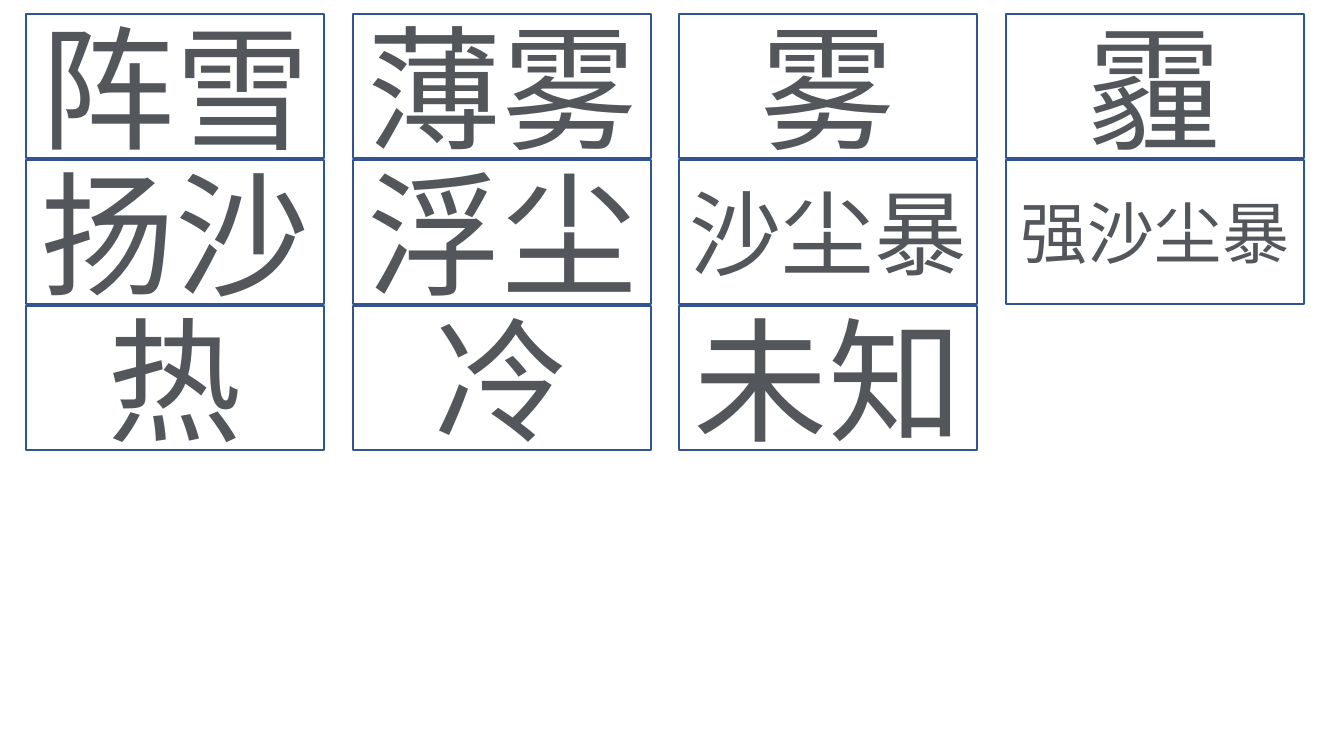
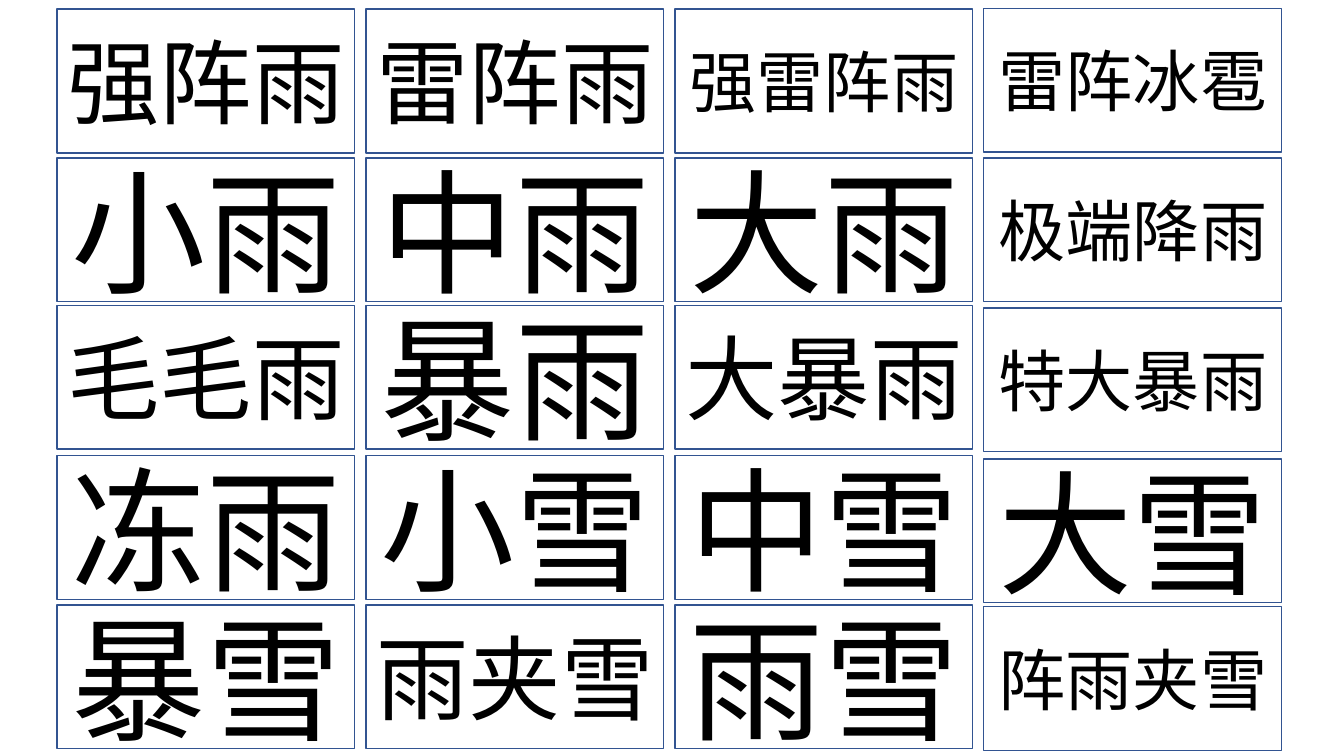
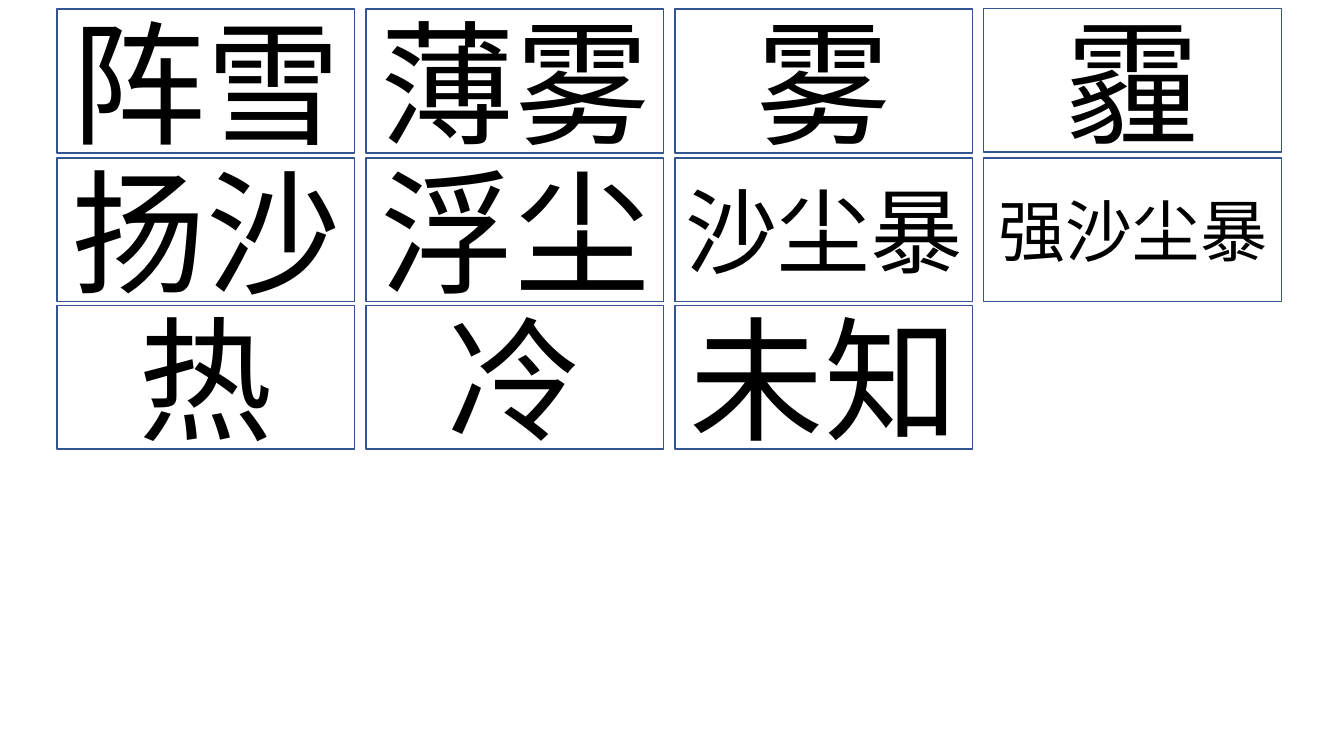
from dataclasses import dataclass

from lxml.etree import SubElement
from pptx import Presentation
from pptx.dml.color import RGBColor
from pptx.enum.shapes import MSO_SHAPE
from pptx.enum.text import MSO_ANCHOR, PP_ALIGN
from pptx.oxml.ns import qn
from pptx.util import Emu, Pt

EMU_PER_PIXEL = 914400 / 100.8
SLIDE_WIDTH, SLIDE_HEIGHT = 1344, 756
CARD_WIDTH, CARD_HEIGHT = 298, 144

BORDER = RGBColor(0x32, 0x54, 0x91)
BLACK = RGBColor(0x00, 0x00, 0x00)
DARK_GRAY = RGBColor(0x53, 0x57, 0x5C)
LIGHT_GRAY = RGBColor(0xC5, 0xC7, 0xCA)
GRAY_STOPS = ((0.21, DARK_GRAY), (0.88, LIGHT_GRAY))

CHINESE_FONT = "Noto Sans CJK SC"
SIZE_BY_LENGTH = {1: 96, 2: 96, 3: 66, 4: 48}

RAIN_AND_SNOW = (
    ("强阵雨", "雷阵雨", "强雷阵雨", "雷阵冰雹"),
    ("小雨", "中雨", "大雨", "极端降雨"),
    ("毛毛雨", "暴雨", "大暴雨", "特大暴雨"),
    ("冻雨", "小雪", "中雪", "大雪"),
    ("暴雪", "雨夹雪", "雨雪", "阵雨夹雪"),
)
FOG_AND_DUST = (
    ("阵雪", "薄雾", "雾", "霾"),
    ("扬沙", "浮尘", "沙尘暴", "强沙尘暴"),
    ("热", "冷", "未知"),
)


@dataclass(frozen=True)
class CardStyle:
    lefts: tuple
    tops: tuple
    last_column_tops: tuple
    border_width: float
    font: str
    color: RGBColor = BLACK
    stops: tuple = ()


GRAY_CARDS = CardStyle(
    lefts=(26, 353, 679, 1006),
    tops=(14, 160, 306),
    last_column_tops=(14, 160, 306),
    border_width=1,
    font=CHINESE_FONT,
    stops=GRAY_STOPS,
)
BLACK_CARDS = CardStyle(
    lefts=(57, 366, 675, 984),
    tops=(9, 158, 305, 456, 605),
    last_column_tops=(8, 158, 308, 459, 607),
    border_width=0.75,
    font="Calibri",
)


def px(pixels):
    return Emu(round(pixels * EMU_PER_PIXEL))


def write_text(shape, text, *, size, font, color, stops):
    frame = shape.text_frame
    frame.word_wrap = True
    frame.vertical_anchor = MSO_ANCHOR.MIDDLE
    frame.margin_left = frame.margin_right = 0
    frame.margin_top = frame.margin_bottom = 0
    paragraph = frame.paragraphs[0]
    paragraph.alignment = PP_ALIGN.CENTER
    run = paragraph.add_run()
    run.text = text
    run.font.size = Pt(size)
    run.font.name = font
    SubElement(run.font._element, qn("a:ea"), typeface=CHINESE_FONT)
    if stops:
        run.font.fill.gradient()
        run.font.fill.gradient_angle = 270
        for stop, (position, stop_color) in zip(run.font.fill.gradient_stops, stops):
            stop.position = position
            stop.color.rgb = stop_color
    else:
        run.font.color.rgb = color


def add_card(slide, word, left, top, style):
    card = slide.shapes.add_shape(
        MSO_SHAPE.RECTANGLE, px(left), px(top), px(CARD_WIDTH), px(CARD_HEIGHT)
    )
    card.shadow.inherit = False
    card.fill.background()
    card.line.color.rgb = BORDER
    card.line.width = Pt(style.border_width)
    write_text(
        card,
        word,
        size=SIZE_BY_LENGTH[len(word)],
        font=style.font,
        color=style.color,
        stops=style.stops,
    )


def add_card_slide(presentation, rows, style):
    slide = presentation.slides.add_slide(presentation.slide_layouts[6])
    last_left = style.lefts[-1]
    for words, top, last_top in zip(rows, style.tops, style.last_column_tops):
        for word, left in zip(words, style.lefts):
            add_card(slide, word, left, last_top if left == last_left else top, style)


def main():
    presentation = Presentation()
    presentation.slide_width = px(SLIDE_WIDTH)
    presentation.slide_height = px(SLIDE_HEIGHT)
    add_card_slide(presentation, FOG_AND_DUST, GRAY_CARDS)
    add_card_slide(presentation, RAIN_AND_SNOW, BLACK_CARDS)
    add_card_slide(presentation, FOG_AND_DUST, BLACK_CARDS)
    presentation.save("out.pptx")


main()
